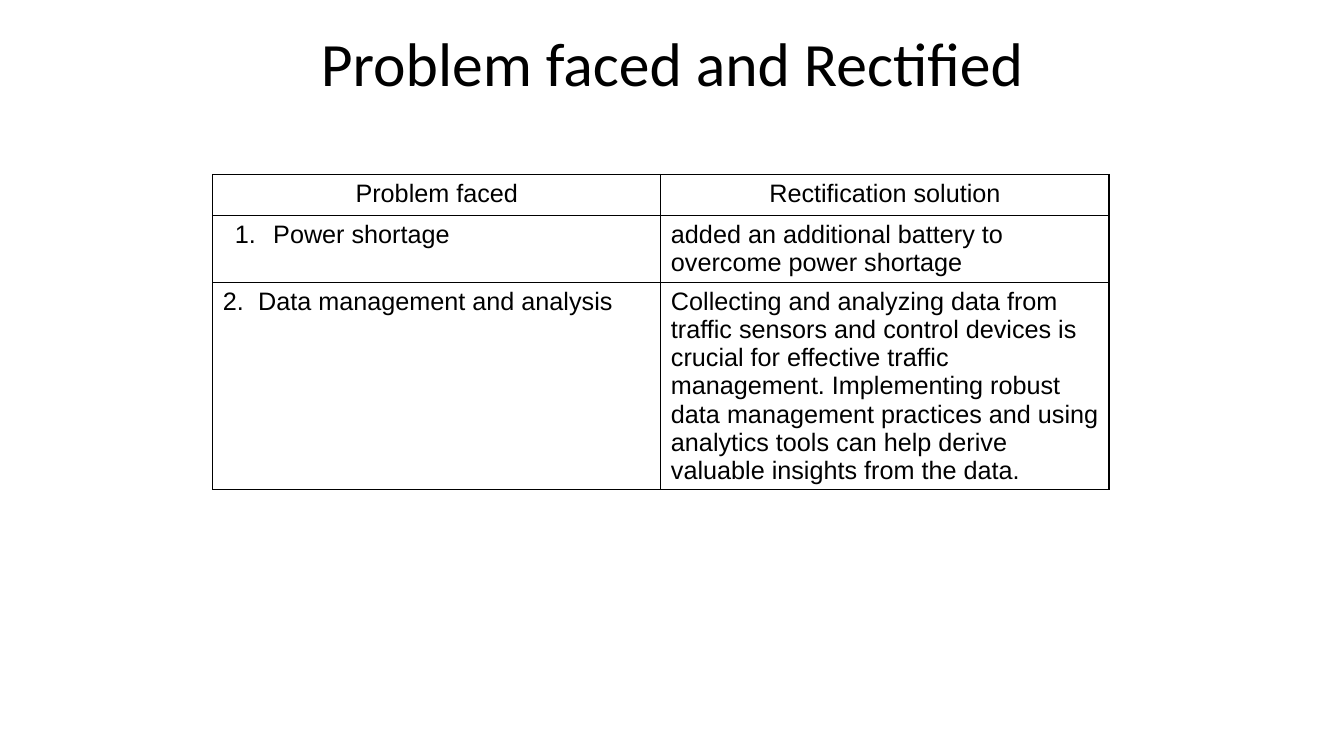
from lxml import etree
from pptx import Presentation
from pptx.dml.color import RGBColor
from pptx.enum import text as t
from pptx.oxml import ns
from pptx.util import Inches, Pt

COLORS = {"ink": "000000", "paper": "FFFFFF"}
ROWS = [
    ("Problem faced", "Rectification solution"),
    ("Power shortage", "added an additional battery to overcome power shortage"),
    ("Data management and analysis",
     "Collecting and analyzing data from traffic sensors and control devices "
     "is crucial for effective traffic management. Implementing robust data "
     "management practices and using analytics tools can help derive valuable "
     "insights from the data."),
]
HEIGHTS = [0.41, 0.65, 2.06]
INDENTS = {1: (0.5, -0.38), 2: (0.35, -0.35)}


def write(frame, words, font="Arial", size=18, align=t.PP_ALIGN.LEFT, space=None):
    para = frame.paragraphs[0]
    para.alignment = align
    if space:
        para.line_spacing = space
    run = para.add_run()
    run.text = words
    run.font.name = font
    run.font.size = Pt(size)
    run.font.color.rgb = RGBColor.from_string(COLORS["ink"])
    return para


def number(para, start, left, hang):
    props = para._p.get_or_add_pPr()
    props.set("marL", str(Inches(left)))
    props.set("indent", str(Inches(hang)))
    etree.SubElement(props, ns.qn("a:buFont"), typeface="+mj-lt")
    etree.SubElement(props, ns.qn("a:buAutoNum"), type="arabicPeriod", startAt=str(start))


def border(cell):
    props = cell._tc.get_or_add_tcPr()
    for place, side in enumerate("LRTB"):
        line = etree.Element(ns.qn(f"a:ln{side}"), w=str(Pt(1)))
        fill = etree.SubElement(line, ns.qn("a:solidFill"))
        etree.SubElement(fill, ns.qn("a:srgbClr"), val=COLORS["ink"])
        props.insert(place, line)


def heading(slide, left, top, width, height):
    title = slide.shapes.title
    title.left, title.top = Inches(left), Inches(top)
    title.width, title.height = Inches(width), Inches(height)
    frame = title.text_frame
    frame.word_wrap = True
    frame.auto_size = t.MSO_AUTO_SIZE.NONE
    frame.vertical_anchor = t.MSO_ANCHOR.MIDDLE
    write(frame, "Problem faced and Rectified", font="Calibri", size=44,
          align=t.PP_ALIGN.CENTER, space=0.9)


def problems(slide, left, top, width):
    table = slide.shapes.add_table(
        len(ROWS), 2, Inches(left), Inches(top), Inches(width), Inches(sum(HEIGHTS))).table
    table.first_row = table.horz_banding = False
    for col in table.columns:
        col.width = Inches(width / 2)
    for i, row in enumerate(ROWS):
        table.rows[i].height = Inches(HEIGHTS[i])
        for j, words in enumerate(row):
            cell = table.cell(i, j)
            cell.fill.solid()
            cell.fill.fore_color.rgb = RGBColor.from_string(COLORS["paper"])
            border(cell)
            align = t.PP_ALIGN.LEFT if i else t.PP_ALIGN.CENTER
            para = write(cell.text_frame, words, align=align)
            if i and j == 0:
                number(para, i, *INDENTS[i])


def main():
    deck = Presentation()
    deck.slide_width, deck.slide_height = Inches(13.33), Inches(7.5)
    slide = deck.slides.add_slide(deck.slide_layouts[5])
    heading(slide, 0.92, 0.21, 11.5, 0.91)
    problems(slide, 2.11, 1.73, 8.89)
    deck.save("out.pptx")


if __name__ == "__main__":
    main()
